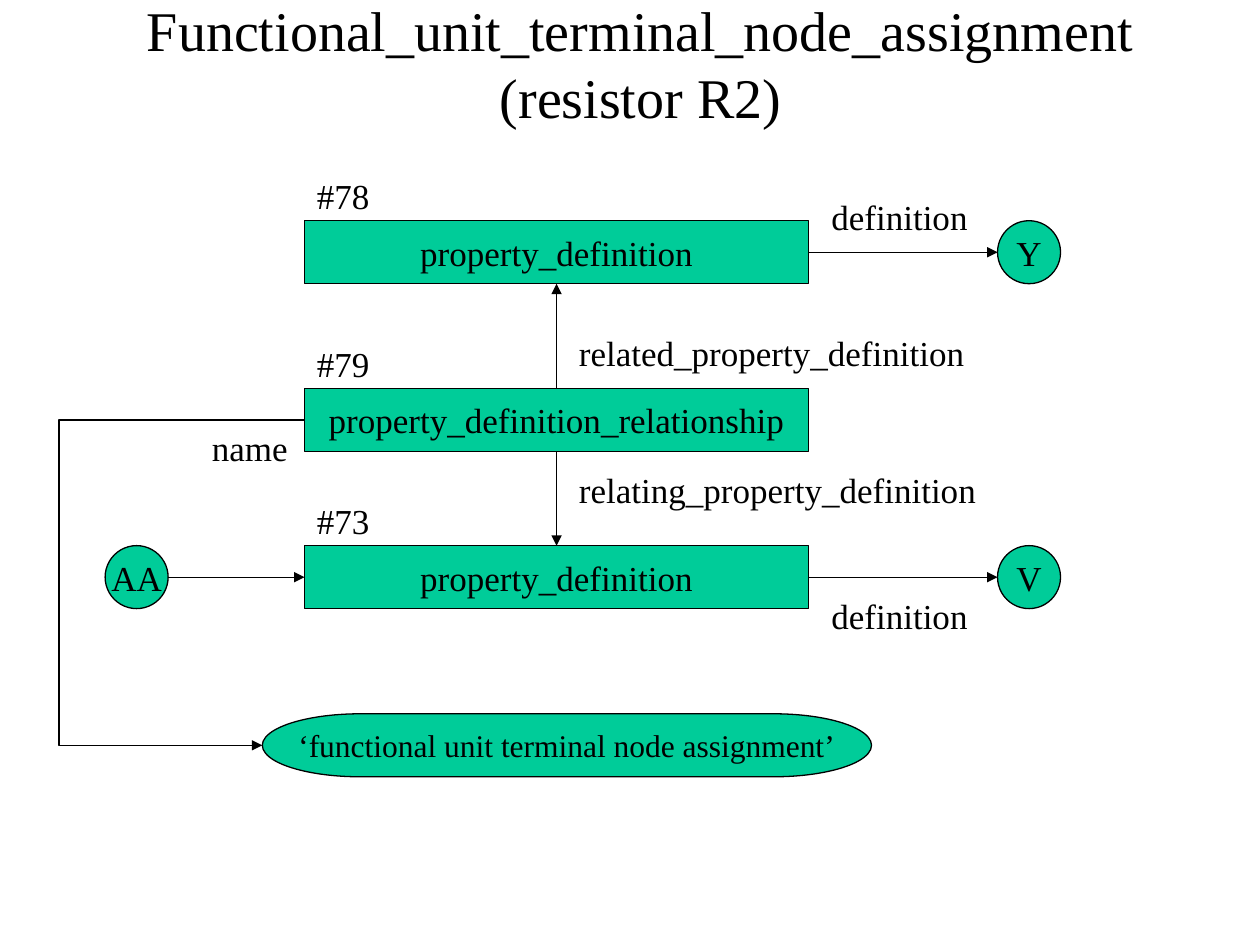
from lxml.etree import SubElement
from pptx import Presentation
from pptx.dml.color import RGBColor
from pptx.enum.shapes import MSO_CONNECTOR, MSO_SHAPE
from pptx.enum.text import MSO_ANCHOR, MSO_AUTO_SIZE, PP_ALIGN
from pptx.oxml.ns import qn
from pptx.util import Cm, Pt

COLORS = {"fill": "00CC99", "ink": "000000"}
FONT = "Times New Roman"
TITLE = "Functional_unit_terminal_node_assignment\v(resistor R2)"

H = 1.27  # height of every node, also the circle diameter
BOX_X, BOX_W = 6.14, 10.16
LEFT_X, RIGHT_X = 2.12, 20.11
ROWS = {"related": 4.45, "relationship": 7.83, "relating": 11.0, "name": 14.39}
NAME_BEND_X = 1.19
ID_W = 1.6
TOP, LEFT, BOTTOM, RIGHT = range(4)

# key: (shape, text, left, row, width, size)
NODES = {
    "related": (MSO_SHAPE.RECTANGLE, "property_definition", BOX_X, "related", BOX_W, 20),
    "relationship": (MSO_SHAPE.RECTANGLE, "property_definition_relationship",
                     BOX_X, "relationship", BOX_W, 20),
    "relating": (MSO_SHAPE.RECTANGLE, "property_definition", BOX_X, "relating", BOX_W, 20),
    "name": (MSO_SHAPE.FLOWCHART_TERMINATOR, "‘functional unit terminal node assignment’",
             5.29, "name", 12.28, 18),
    "Y": (MSO_SHAPE.FLOWCHART_CONNECTOR, "Y", RIGHT_X, "related", H, 20),
    "V": (MSO_SHAPE.FLOWCHART_CONNECTOR, "V", RIGHT_X, "relating", H, 20),
    "AA": (MSO_SHAPE.FLOWCHART_CONNECTOR, "AA", LEFT_X, "relating", H, 20),
}
# (from node, side, to node, side)
ARROWS = [
    ("relationship", TOP, "related", BOTTOM),
    ("relationship", BOTTOM, "relating", TOP),
    ("related", RIGHT, "Y", LEFT),
    ("relating", RIGHT, "V", LEFT),
    ("AA", RIGHT, "relating", LEFT),
    ("relationship", LEFT, "name", LEFT),
]
# (text, left, top, width)
LABELS = [
    ("#78", BOX_X, 3.39, ID_W),
    ("#79", BOX_X, 6.77, ID_W),
    ("#73", BOX_X, 9.95, ID_W),
    ("name", 4.02, 8.47, 2.05),
    ("related_property_definition", 11.42, 6.56, 8.3),
    ("relating_property_definition", 11.42, 9.31, 8.53),
    ("definition", 16.51, 3.81, 3.27),
    ("definition", 16.51, 11.85, 3.27),
]


def rgb(name):
    return RGBColor.from_string(COLORS[name])


def set_text(sp, text, size, align, **frame):
    tf = sp.text_frame
    tf.text = text
    for key, value in frame.items():
        setattr(tf, key, value)
    p = tf.paragraphs[0]
    p.alignment = align
    for r in p.runs:
        for key, value in {"name": FONT, "size": Pt(size)}.items():
            setattr(r.font, key, value)
        r.font.color.rgb = rgb("ink")


def set_line(line):
    line.color.rgb = rgb("ink")
    line.width = Pt(0.75)


def add_node(slide, kind, text, left, row, width, size):
    sp = slide.shapes.add_shape(kind, Cm(left), Cm(ROWS[row]), Cm(width), Cm(H))
    sp.shadow.inherit = False
    sp.fill.solid()
    sp.fill.fore_color.rgb = rgb("fill")
    set_line(sp.line)
    set_text(sp, text, size, PP_ALIGN.CENTER,
             word_wrap=False, vertical_anchor=MSO_ANCHOR.MIDDLE)
    return sp


def side_point(sp, side):
    mid_x, mid_y = sp.left + sp.width // 2, sp.top + sp.height // 2
    return [(mid_x, sp.top), (sp.left, mid_y),
            (mid_x, sp.top + sp.height), (sp.left + sp.width, mid_y)][side]


def add_arrow(slide, start, start_side, end, end_side):
    """Join two nodes; nodes facing the same way get an elbow."""
    bent = start_side == end_side
    kind = MSO_CONNECTOR.ELBOW if bent else MSO_CONNECTOR.STRAIGHT
    x1, y1 = side_point(start, start_side)
    x2, y2 = side_point(end, end_side)
    cxn = slide.shapes.add_connector(kind, x1, y1, x2, y2)
    # Circles number their connection sites differently, so they stay unglued.
    circle = MSO_SHAPE.FLOWCHART_CONNECTOR
    if start.auto_shape_type != circle:
        cxn.begin_connect(start, start_side)
    if end.auto_shape_type != circle:
        cxn.end_connect(end, end_side)
    set_line(cxn.line)
    props = cxn.element.find(qn("p:spPr"))
    SubElement(props.find(qn("a:ln")), qn("a:tailEnd"), type="triangle")
    SubElement(props, qn("a:effectLst"))
    if bent:
        bend = round((x1 - Cm(NAME_BEND_X)) / (x1 - x2) * 100000)
        guides = props.find(qn("a:prstGeom")).find(qn("a:avLst"))
        SubElement(guides, qn("a:gd"), name="adj1", fmla=f"val {bend}")


def main():
    prs = Presentation()
    prs.slide_width, prs.slide_height = Cm(25.4), Cm(19.05)
    slide = prs.slides.add_slide(prs.slide_layouts[5])

    title = slide.shapes.title
    title.left, title.top, title.width, title.height = Cm(2.12), Cm(0.42), Cm(21.59), Cm(1.69)
    set_text(title, TITLE, 32, PP_ALIGN.CENTER, word_wrap=True,
             auto_size=MSO_AUTO_SIZE.NONE, vertical_anchor=MSO_ANCHOR.MIDDLE)

    nodes = {key: add_node(slide, *node) for key, node in NODES.items()}
    for start, start_side, end, end_side in ARROWS:
        add_arrow(slide, nodes[start], start_side, nodes[end], end_side)
    for text, left, top, width in LABELS:
        box = slide.shapes.add_textbox(Cm(left), Cm(top), Cm(width), Cm(1.11))
        set_text(box, text, 20, PP_ALIGN.LEFT,
                 word_wrap=False, auto_size=MSO_AUTO_SIZE.SHAPE_TO_FIT_TEXT)

    prs.save("out.pptx")


if __name__ == "__main__":
    main()
